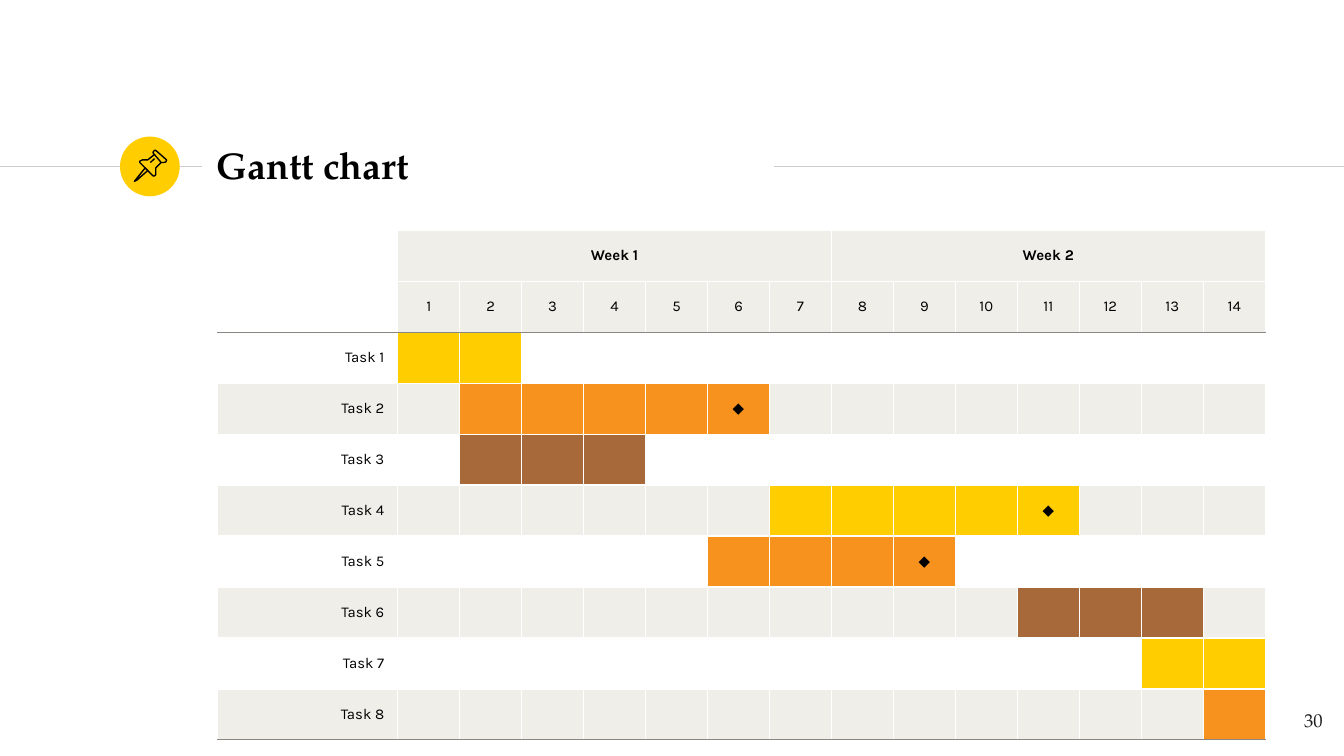
"""Build a Gantt chart slide: two weeks, eight tasks, three milestones."""
from dataclasses import dataclass

import pptx
import pptx.dml.color
import pptx.enum.shapes
import pptx.enum.text
import pptx.oxml.ns
import pptx.util
from lxml import etree

Pt = pptx.util.Pt
qn = pptx.oxml.ns.qn
ALIGN = pptx.enum.text.PP_ALIGN
MIDDLE = pptx.enum.text.MSO_ANCHOR.MIDDLE

SERIF, SANS = "TeX Gyre Pagella", "Karla"
BLACK, WHITE, INK = "000000", "FFFFFF", "1D1D1B"
YELLOW, ORANGE, BROWN = "FFCD00", "F6921D", "A7693A"
BAND, RULE, HAIRLINE = "F0EEE9", "8A8682", "CCCCCC"
DAYS, WEEK, HEADER_ROWS = 14, 7, 2
NAME_W, DAY_W, ROW_H = 96.5, 33.2, 27.3


@dataclass
class Task:
    name: str
    first: int
    last: int
    color: str
    milestone: bool = False


@dataclass
class Stroke:
    points: list
    closed: bool = False


TASKS = [
    Task("Task 1", 1, 2, YELLOW),
    Task("Task 2", 2, 6, ORANGE, True),
    Task("Task 3", 2, 4, BROWN),
    Task("Task 4", 7, 11, YELLOW, True),
    Task("Task 5", 6, 9, ORANGE, True),
    Task("Task 6", 11, 13, BROWN),
    Task("Task 7", 13, 14, YELLOW),
    Task("Task 8", 14, 14, ORANGE),
]

PIN = [
    Stroke([(778, 900), (720, 972), (734, 965), (792, 914)], True),
    Stroke([(828, 828), (864, 871), (878, 871), (889, 868), (893, 857),
            (835, 806), (828, 806), (821, 814), (821, 821)], True),
    Stroke([(828, 828), (792, 857), (778, 857), (763, 857), (749, 864), (749, 871),
            (821, 943), (828, 943), (835, 936), (835, 900), (864, 871)]),
    Stroke([(806, 871), (828, 850)]),
]


def rgb(color: str) -> pptx.dml.color.RGBColor:
    return pptx.dml.color.RGBColor.from_string(color)


def format_text(tf, text: str, font: str, size: float, color: str, align, bold=False) -> None:
    tf.text = text
    p = tf.paragraphs[0]
    p.alignment = align
    for r in p.runs:
        r.font.name, r.font.size, r.font.bold = font, Pt(size), bold
        r.font.color.rgb = rgb(color)


def add_text(shapes, box: tuple, text: str, size: float, color: str, align,
             bold=False, anchor=None) -> None:
    tf = shapes.add_textbox(*map(Pt, box)).text_frame
    tf.word_wrap = True
    tf.margin_left = tf.margin_right = tf.margin_top = tf.margin_bottom = Pt(7.2)
    tf.vertical_anchor = anchor
    format_text(tf, text, SERIF, size, color, align, bold)


def add_rule(shapes, left: float, right: float, y: float) -> None:
    line = shapes.add_connector(pptx.enum.shapes.MSO_CONNECTOR.STRAIGHT,
                                Pt(left), Pt(y), Pt(right), Pt(y))
    line.line.color.rgb = rgb(HAIRLINE)
    line.line.width = Pt(0.75)
    etree.SubElement(line._element.spPr, qn("a:effectLst"))


def add_pin(shapes) -> None:
    group = shapes.add_group_shape()
    for stroke in PIN:
        start, *rest = stroke.points
        builder = group.shapes.build_freeform(*start, scale=Pt(0.1))
        builder.add_line_segments(rest, close=stroke.closed)
        sp = builder.convert_to_shape()
        sp.shadow.inherit = False
        sp.fill.background()
        sp.line.color.rgb = rgb(BLACK)
        sp.line.width = Pt(0.75)


def set_borders(cell, top: str, bottom: str) -> None:
    tc_pr = cell._tc.get_or_add_tcPr()
    for side, color in zip("LRTB", (WHITE, WHITE, top, bottom)):
        ln = etree.SubElement(tc_pr, qn(f"a:ln{side}"), w=str(Pt(0.75)))
        fill = etree.SubElement(ln, qn("a:solidFill"))
        etree.SubElement(fill, qn("a:srgbClr"), val=color)


def fill_cell(cell, text: str, color: str | None, align=ALIGN.CENTER, bold=False) -> None:
    if color:
        cell.fill.solid()
        cell.fill.fore_color.rgb = rgb(color)
    else:
        cell.fill.background()
    cell.vertical_anchor = MIDDLE
    format_text(cell.text_frame, text, SANS, 8, BLACK, align, bold)
    if not text:
        p = cell.text_frame.paragraphs[0]
        etree.SubElement(p._p, qn("a:endParaRPr"), sz="800")


def add_gantt(shapes, left: float, top: float) -> None:
    rows = HEADER_ROWS + len(TASKS)
    table = shapes.add_table(rows, DAYS + 1, Pt(left), Pt(top),
                             Pt(NAME_W + DAYS * DAY_W), Pt(rows * ROW_H)).table
    table.first_row = table.horz_banding = False
    for i, column in enumerate(table.columns):
        column.width = Pt(DAY_W if i else NAME_W)
    for i, row in enumerate(table.rows):
        row.height = Pt(ROW_H)
        for cell in row.cells:
            set_borders(cell, RULE if i == HEADER_ROWS else WHITE,
                        RULE if i in (HEADER_ROWS - 1, rows - 1) else WHITE)

    for i in range(HEADER_ROWS):
        fill_cell(table.cell(i, 0), "", None)
    for day in range(1, DAYS + 1):
        week, offset = divmod(day - 1, WEEK)
        fill_cell(table.cell(0, day), "" if offset else f"Week {week + 1}", BAND, bold=True)
        fill_cell(table.cell(1, day), str(day), BAND)
    for first in range(1, DAYS + 1, WEEK):
        table.cell(0, first).merge(table.cell(0, first + WEEK - 1))

    for i, task in enumerate(TASKS):
        row = HEADER_ROWS + i
        band = BAND if i % 2 else None
        fill_cell(table.cell(row, 0), task.name, band, ALIGN.RIGHT)
        for day in range(1, DAYS + 1):
            active = task.first <= day <= task.last
            mark = "◆" if task.milestone and day == task.last else ""
            fill_cell(table.cell(row, day), mark, task.color if active else band)


def main() -> None:
    prs = pptx.Presentation()
    prs.slide_width, prs.slide_height = Pt(720), Pt(405)
    s = prs.slides.add_slide(prs.slide_layouts[6])
    add_rule(s.shapes, 0, 108, 89.2)
    badge = s.shapes.add_shape(pptx.enum.shapes.MSO_SHAPE.OVAL,
                               Pt(64.3), Pt(73.2), Pt(32), Pt(32))
    badge.shadow.inherit = False
    badge.fill.solid()
    badge.fill.fore_color.rgb = rgb(YELLOW)
    badge.line.fill.background()
    add_rule(s.shapes, 414.7, 720, 89.2)
    add_text(s.shapes, (108.9, 70.8, 305.3, 34.6), "Gantt chart", 20, BLACK,
             ALIGN.LEFT, bold=True, anchor=MIDDLE)
    add_text(s.shapes, (672.5, 373.7, 43.2, 31), "30", 10, INK, ALIGN.RIGHT)
    add_gantt(s.shapes, 116.6, 123.4)
    add_pin(s.shapes)
    prs.save("out.pptx")


if __name__ == "__main__":
    main()
